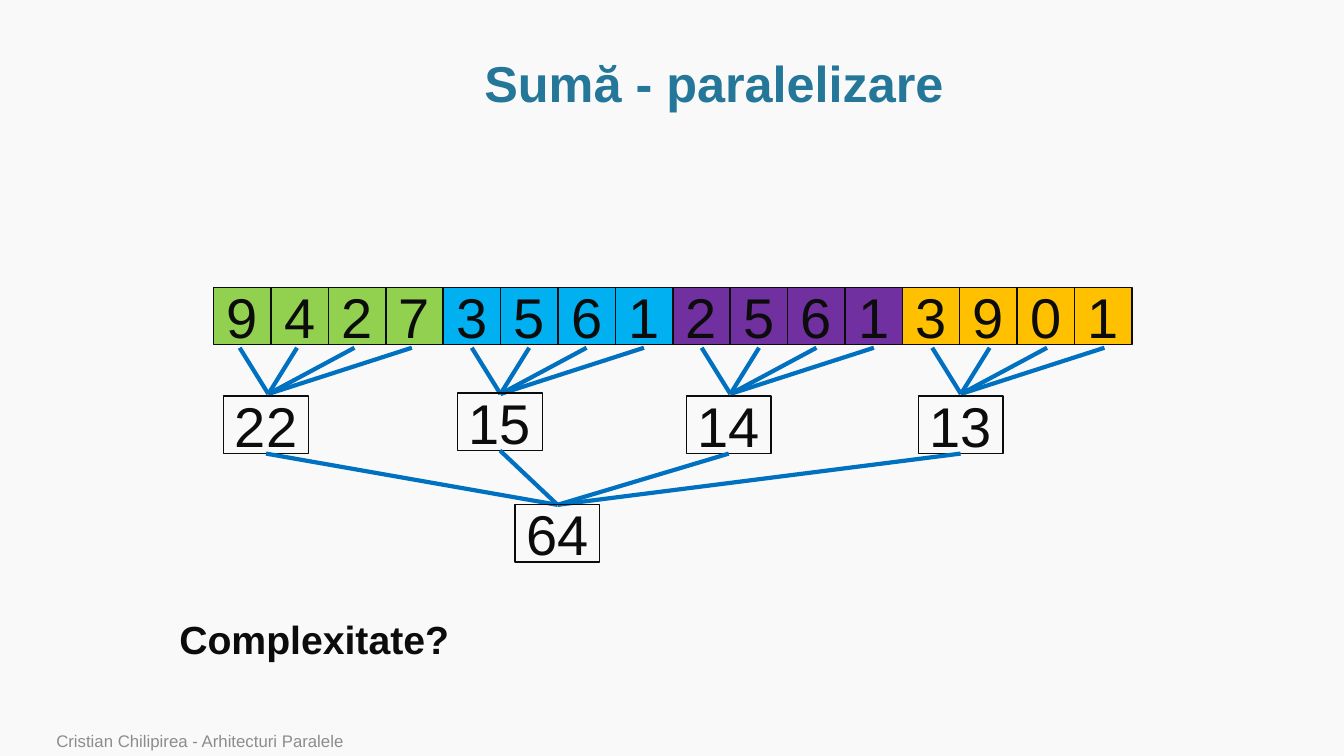
"""Builds the slide on summing an array in parallel."""
from lxml import etree
from pptx import Presentation
from pptx import util as u
from pptx.dml.color import RGBColor
from pptx.enum import shapes, text
from pptx.oxml.ns import qn

COLORS = {
    "background": "F9F9F9", "title": "247798", "ink": "0C0C0C",
    "footer": "8C8C8C", "link": "0070C0", "green": "92D050",
    "blue": "00B0F0", "purple": "7030A0", "amber": "FFC000",
}
CELL = 41
ROW_LEFT, ROW_TOP = 152.6, 205.2
SUM_WIDTH = 60.5
LINK_TOP, LINK_BOTTOM = 248.4, 281.4
TOTAL_LEFT, TOTAL_TOP = 368, 360.6
GROUPS = [
    ("green", "9427", "22", 159.8, 283, 171.2),
    ("blue", "3561", "15", 326.9, 280.8, 337),
    ("purple", "2561", "14", 490.3, 283, 501.2),
    ("amber", "3901", "13", 655.9, 283, 665.9),
]


class SlideBuilder:
    """Holds the style and the current slide."""

    def __init__(self, presentation, font="Arial"):
        self.font = font
        self.slide = presentation.slides.add_slide(presentation.slide_layouts[5])
        fill = self.slide.background.fill
        fill.solid()
        fill.fore_color.rgb = self.color("background")

    def color(self, name):
        return RGBColor.from_string(COLORS[name])

    def add_wording(self, frame, wording, size, color, bold=False, align=None,
                    anchor=text.MSO_ANCHOR.MIDDLE):
        frame.vertical_anchor = anchor
        paragraph = frame.paragraphs[0]
        paragraph.alignment = align
        run = paragraph.add_run()
        run.text = wording
        run.font.name = self.font
        run.font.size = u.Pt(size)
        run.font.bold = bold
        run.font.color.rgb = self.color(color)
        return paragraph

    def title(self, wording, left, top, width, height):
        shape = self.slide.shapes.title
        shape.left, shape.top = u.Pt(left), u.Pt(top)
        shape.width, shape.height = u.Pt(width), u.Pt(height)
        shape.text_frame.auto_size = text.MSO_AUTO_SIZE.NONE
        paragraph = self.add_wording(shape.text_frame, wording, 36, "title", True,
                                     text.PP_ALIGN.CENTER)
        paragraph.line_spacing = 0.9

    def label(self, wording, left, top, width, height, size, color,
              bold=False, wrap=True, anchor=text.MSO_ANCHOR.TOP):
        shape = self.slide.shapes.add_textbox(
            u.Pt(left), u.Pt(top), u.Pt(width), u.Pt(height))
        shape.text_frame.word_wrap = wrap
        self.add_wording(shape.text_frame, wording, size, color, bold, anchor=anchor)

    def box(self, wording, left, top, width, fill=None):
        shape = self.slide.shapes.add_shape(
            shapes.MSO_SHAPE.RECTANGLE, u.Pt(left), u.Pt(top), u.Pt(width), u.Pt(CELL))
        shape.shadow.inherit = False
        if fill:
            shape.fill.solid()
            shape.fill.fore_color.rgb = self.color(fill)
        else:
            shape.fill.background()
        shape.line.color.rgb = self.color("ink")
        shape.line.width = u.Pt(1)
        self.add_wording(shape.text_frame, wording, 40, "ink",
                         align=text.PP_ALIGN.CENTER)

    def link(self, x1, y1, x2, y2):
        connector = self.slide.shapes.add_connector(
            shapes.MSO_CONNECTOR.STRAIGHT, u.Pt(x1), u.Pt(y1), u.Pt(x2), u.Pt(y2))
        connector.line.color.rgb = self.color("link")
        connector.line.width = u.Pt(3)
        etree.SubElement(connector._element.spPr, qn("a:effectLst"))


def main():
    presentation = Presentation()
    presentation.slide_width, presentation.slide_height = u.Pt(960), u.Pt(540)
    builder = SlideBuilder(presentation)
    builder.title("Sumă - paralelizare", 82.1, 36.7, 856, 49.7)
    builder.label("Cristian Chilipirea - Arhitecturi Paralele", 33.1, 519.8, 707, 20.2,
                  12, "footer", anchor=text.MSO_ANCHOR.BOTTOM)

    for group, (color, digits, total, left, top, link_left) in enumerate(GROUPS):
        for index, digit in enumerate(digits):
            column = group * len(digits) + index
            builder.box(digit, ROW_LEFT + column * CELL, ROW_TOP, CELL, color)
            builder.link(link_left + index * CELL, LINK_TOP,
                         link_left + CELL / 2, LINK_BOTTOM)
        builder.box(total, left, top, SUM_WIDTH)
        builder.link(left + SUM_WIDTH / 2, top + CELL,
                     TOTAL_LEFT + SUM_WIDTH / 2, TOTAL_TOP)

    builder.box("64", TOTAL_LEFT, TOTAL_TOP, SUM_WIDTH)
    builder.label("Complexitate?", 121, 436.3, 209.5, 41, 28, "ink", bold=True, wrap=False)
    presentation.save("out.pptx")


if __name__ == "__main__":
    main()
